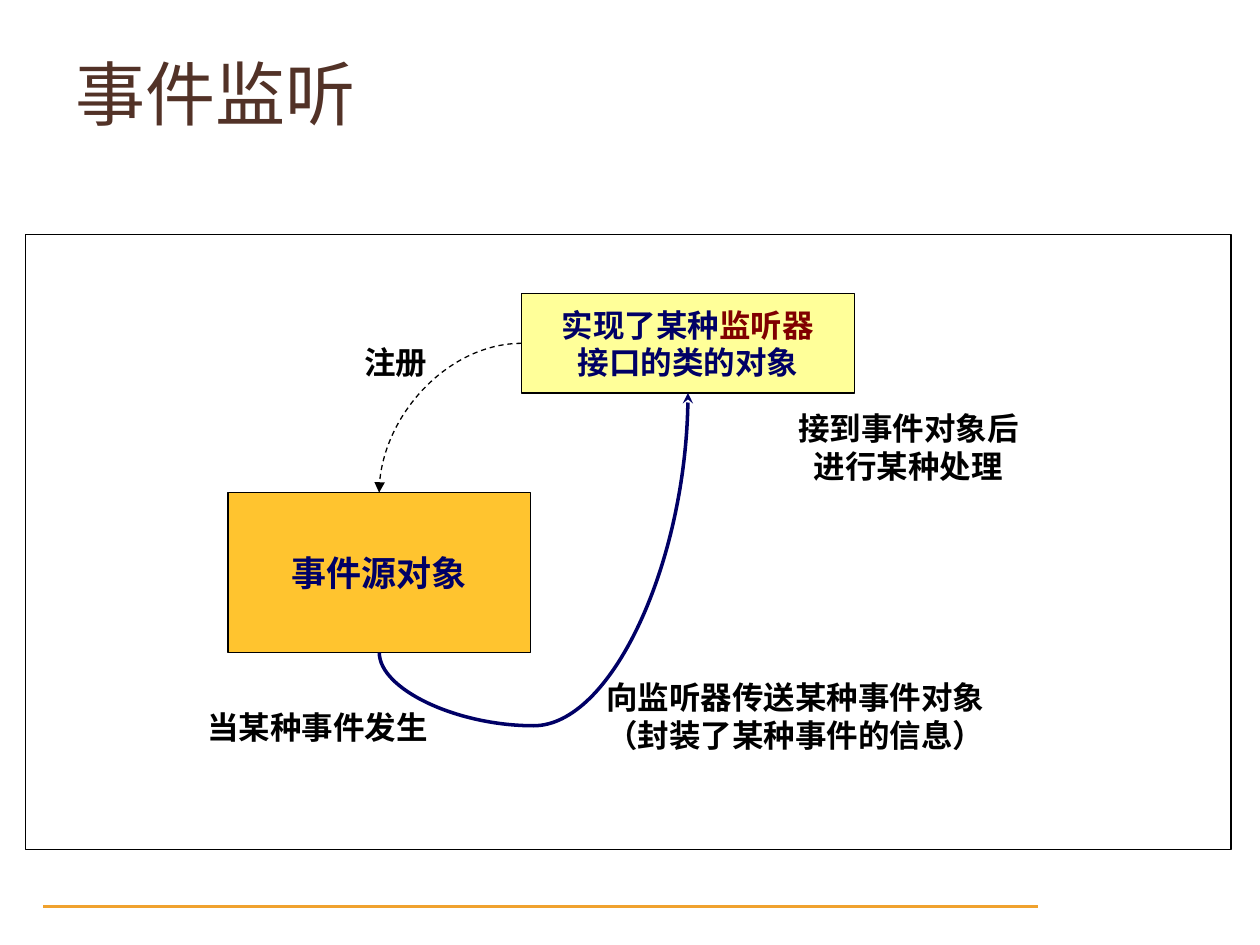
from lxml import etree
from pptx import Presentation, util as u
from pptx.dml.color import RGBColor
from pptx.enum import dml, shapes, text
from pptx.oxml import ns

COLORS = {
    "white": "FFFFFF", "black": "000000", "gold": "F0A22E", "brown": "523227",
    "source": "FFC42F", "listener": "FFFF99", "navy": "000066", "maroon": "800000",
}
CJK_FONT = "Noto Sans CJK SC"
TOP, LEFT, BOTTOM = 0, 1, 2  # connection sites of a rectangle


def rgb(name):
    return RGBColor.from_string(COLORS[name])


def sub(parent, tag, **attributes):
    return etree.SubElement(parent, ns.qn(tag), **attributes)


def write(frame, lines, size=18, color="black", bold=True,
          font="Times New Roman", align=text.PP_ALIGN.CENTER,
          anchor=text.MSO_ANCHOR.TOP, wrap=False):
    """Fill a frame; each line is a list of strings or (string, color) pairs."""
    frame.word_wrap = wrap
    frame.vertical_anchor = anchor
    for i, line in enumerate(lines):
        paragraph = frame.paragraphs[0] if i == 0 else frame.add_paragraph()
        paragraph.alignment = align
        for part in line:
            words, part_color = part if isinstance(part, tuple) else (part, color)
            run = paragraph.add_run()
            run.text = words
            run.font.size = u.Pt(size)
            run.font.bold = bold
            run.font.name = font
            run.font.color.rgb = rgb(part_color)
            sub(run.font._element, "a:ea", typeface=CJK_FONT)


def add_box(slide, x, y, w, h, fill, line="black", width=0.75):
    box = slide.shapes.add_shape(shapes.MSO_SHAPE.RECTANGLE, u.Inches(x),
                                 u.Inches(y), u.Inches(w), u.Inches(h))
    box.shadow.inherit = False
    box.fill.solid()
    box.fill.fore_color.rgb = rgb(fill)
    box.line.color.rgb = rgb(line)
    box.line.width = u.Pt(width)
    return box


def add_label(slide, x, y, w, h, lines, **style):
    label = slide.shapes.add_textbox(u.Inches(x), u.Inches(y), u.Inches(w), u.Inches(h))
    write(label.text_frame, lines, **style)


def add_curve(slide, start, start_site, end, end_site, color, width, head, dash=None):
    curve = slide.shapes.add_connector(shapes.MSO_CONNECTOR.CURVE, 0, 0, 0, 0)
    curve.begin_connect(start, start_site)
    curve.end_connect(end, end_site)
    curve.line.color.rgb = rgb(color)
    curve.line.width = u.Pt(width)
    if dash:
        curve.line.dash_style = dash
    properties = curve._element.spPr
    sub(properties.find(ns.qn("a:ln")), "a:tailEnd", type=head)
    sub(properties, "a:effectLst")
    return curve


def bend_quarter(curve):
    """Leave sideways and arrive vertically in a single bend."""
    curve._element.spPr.find(ns.qn("a:prstGeom")).set("prst", "curvedConnector2")


def bend_under(curve, drop):
    """Leave downwards, swing below the start by drop, and arrive upwards."""
    width, height = curve.width, curve.height
    center_x, center_y = curve.left + width // 2, curve.top + height // 2
    # The preset runs sideways, so its box is turned by a quarter
    curve.width, curve.height = height, width
    curve.left, curve.top = center_x - height // 2, center_y - width // 2
    properties = curve._element.spPr
    frame = properties.find(ns.qn("a:xfrm"))
    for name, value in (("rot", "5400000"), ("flipH", "1"), ("flipV", "1")):
        frame.set(name, value)
    geometry = properties.find(ns.qn("a:prstGeom"))
    adjustments = geometry.find(ns.qn("a:avLst"))
    if adjustments is None:
        adjustments = sub(geometry, "a:avLst")
    share = round(-100000 * u.Inches(drop) / height)
    sub(adjustments, "a:gd", name="adj1", fmla=f"val {share}")


def build_heading(slide, x, y, w, h):
    add_label(slide, x, y, w, h, [["事件监听"]], size=40, color="brown", bold=False,
              font=CJK_FONT, align=text.PP_ALIGN.LEFT,
              anchor=text.MSO_ANCHOR.MIDDLE, wrap=True)


def build_diagram(slide, x, y, w, h):
    add_box(slide, x, y, w, h, "white")

    # Event source and listener
    source = add_box(slide, x + 1.61, y + 2.05, 2.4, 1.27, "source")
    write(source.text_frame, [["事件源对象"]], size=20, color="navy",
          anchor=text.MSO_ANCHOR.MIDDLE)
    listener = add_box(slide, x + 3.94, y + 0.47, 2.64, 0.79, "listener")
    write(listener.text_frame, [["实现了某种", ("监听器", "maroon")], ["接口的类的对象"]],
          color="navy", anchor=text.MSO_ANCHOR.MIDDLE)

    # Registration and event delivery
    registration = add_curve(slide, listener, LEFT, source, TOP, "black", 0.75,
                             "triangle", dml.MSO_LINE.DASH)
    bend_quarter(registration)
    delivery = add_curve(slide, source, BOTTOM, listener, TOP + 2, "navy", 2, "stealth")
    bend_under(delivery, 0.58)

    # Step labels
    steps = [
        (2.59, 0.81, 0.7, 0.4, ["注册"]),
        (1.34, 3.71, 1.96, 0.4, ["当某种事件发生"]),
        (4.5, 3.47, 3.22, 0.7, ["向监听器传送某种事件对象", "（封装了某种事件的信息）"]),
        (6.03, 1.34, 1.96, 0.7, ["接到事件对象后", "进行某种处理"]),
    ]
    for dx, dy, width, height, lines in steps:
        add_label(slide, x + dx, y + dy, width, height, [[line] for line in lines])


def main():
    deck = Presentation()
    deck.slide_width, deck.slide_height = u.Inches(10), u.Inches(7.5)
    slide = deck.slides.add_slide(deck.slide_layouts[6])
    # Footer rule
    add_box(slide, 0.33, 7.17, 7.92, 0.05, "gold", line="white", width=2)
    build_diagram(slide, 0.2, 1.86, 9.57, 4.88)
    build_heading(slide, 0.5, 0.3, 6.83, 0.87)
    deck.save("out.pptx")


if __name__ == "__main__":
    main()
